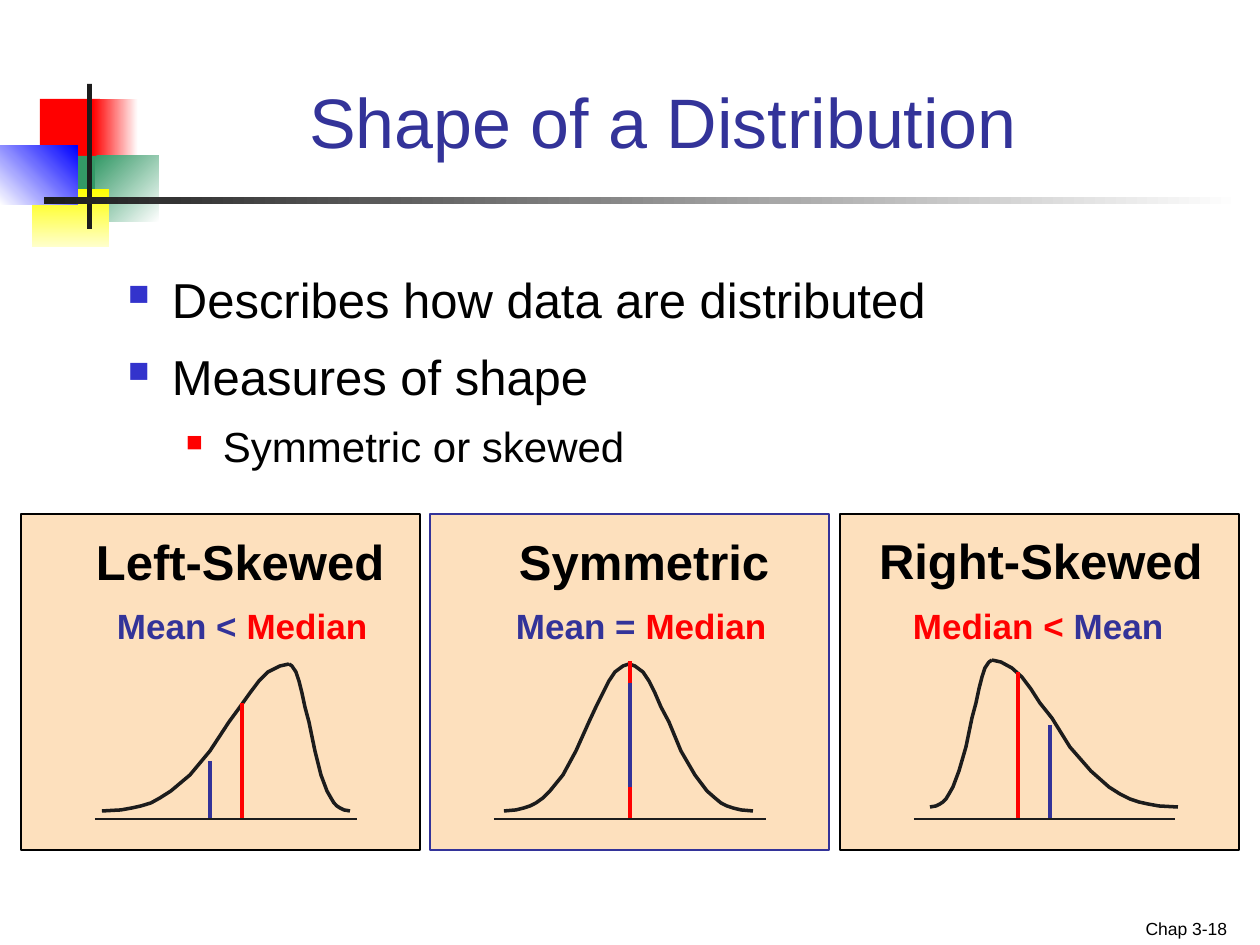
from lxml import etree
from pptx import Presentation
from pptx import util as u
from pptx.dml.color import RGBColor
from pptx.enum import shapes, text
from pptx.oxml.ns import qn

PX = u.Inches(1) / 126
COLORS = {
    "red": "FF0000", "green": "339966", "yellow": "FFFF00", "cream": "FFFFCC",
    "blue": "0000FF", "white": "FFFFFF", "ink": "1C1C1C", "black": "000000",
    "navy": "333399", "bullet": "3333CC", "panel": "FDE0BD",
}
HALF_BELL = [
    (0, 147), (0.1, 146), (0.16, 144), (0.21, 142), (0.26, 139), (0.31, 134),
    (0.37, 127), (0.47, 111), (0.58, 87), (0.68, 58), (0.74, 43), (0.79, 29),
    (0.84, 17), (0.89, 8), (0.95, 2), (1, 0),
]
AXIS_Y = 819
PANELS = [
    dict(left=21, border="black", heading=("Left-Skewed", 84, 525, 314),
         relation=([("Mean <", "navy"), (" Median", "red")], 105),
         feet=(102, 350), peak=(289, 664), axis=(95, 357),
         markers=[("red", 242, 703, AXIS_Y), ("navy", 210, 761, AXIS_Y)]),
    dict(left=430, border="navy", heading=("Symmetric", 507, 525, 275),
         relation=([("Mean =", "navy"), (" Median", "red")], 504),
         feet=(504, 753), peak=(629, 664), axis=(494, 766),
         markers=[("red", 630, 661, AXIS_Y), ("navy", 630, 683, 787)]),
    dict(left=840, border="black", heading=("Right-Skewed", 867, 524, 349),
         relation=([("Median < ", "red"), ("Mean", "navy")], 901),
         feet=(930, 1178), peak=(992, 660), axis=(914, 1175),
         markers=[("red", 1018, 672, AXIS_Y), ("navy", 1050, 725, AXIS_Y)]),
]


def emu(*lengths):
    return [round(length * PX) for length in lengths]


def rgb(name):
    return RGBColor.from_string(COLORS[name])


class SlideWriter:
    font = "Arial"

    def __init__(self, slide):
        self.slide = slide
        self.shapes = slide.shapes

    def rect(self, box, fill, border=None):
        block = self.shapes.add_shape(shapes.MSO_SHAPE.RECTANGLE, *emu(*box))
        block.shadow.inherit = False
        block.fill.solid()
        block.fill.fore_color.rgb = rgb(fill)
        if border:
            block.line.color.rgb = rgb(border)
            block.line.width = u.Pt(0.75)
        else:
            block.line.fill.background()
        return block

    def fade(self, box, start, end, angle):
        block = self.rect(box, start)
        block.fill.gradient()
        block.fill.gradient_angle = angle
        for stop, color in zip(block.fill.gradient_stops, (start, end)):
            stop.color.rgb = rgb(color)

    def line(self, start, end, color, width):
        rule = self.shapes.add_connector(
            shapes.MSO_CONNECTOR.STRAIGHT, *emu(*start, *end))
        rule.line.color.rgb = rgb(color)
        rule.line.width = u.Pt(width)
        etree.SubElement(rule._element.spPr, qn("a:effectLst"))

    def half_bell(self, foot, peak):
        peak_x, peak_y = peak
        points = [(round(foot + (peak_x - foot) * x), peak_y + drop)
                  for x, drop in HALF_BELL]
        builder = self.shapes.build_freeform(*points[0], scale=PX)
        builder.add_line_segments(points[1:], close=False)
        curve = builder.convert_to_shape()
        curve.shadow.inherit = False
        curve.fill.background()
        curve.line.color.rgb = rgb("ink")
        curve.line.width = u.Pt(2)

    def frame(self, box, anchor="TOP", wrap=True):
        frame = self.shapes.add_textbox(*emu(*box)).text_frame
        frame.word_wrap = wrap
        frame.vertical_anchor = text.MSO_ANCHOR[anchor]
        frame.margin_left, frame.margin_right = emu(12, 12)
        return frame

    def style(self, paragraph, size, color=None, bold=False):
        font = paragraph.font
        font.name, font.size, font.bold = self.font, u.Pt(size), bold
        if color:
            font.color.rgb = rgb(color)

    def text(self, box, words, size, color, align="LEFT", anchor="TOP",
             bold=False, wrap=True, spacing=None):
        paragraph = self.frame(box, anchor, wrap).paragraphs[0]
        paragraph.text = words
        paragraph.alignment = text.PP_ALIGN[align]
        paragraph.line_spacing = spacing
        self.style(paragraph, size, color, bold)

    def two_tone(self, box, parts, size):
        paragraph = self.frame(box, wrap=False).paragraphs[0]
        self.style(paragraph, size, bold=True)
        for words, color in parts:
            run = paragraph.add_run()
            run.text = words
            run.font.color.rgb = rgb(color)

    def bullets(self, box, items):
        frame = self.frame(box)
        for i, (words, level, size, before, color, percent, indent, hang) in enumerate(items):
            paragraph = frame.add_paragraph() if i else frame.paragraphs[0]
            paragraph.text = words
            paragraph.level = level
            paragraph.line_spacing = 1.1
            paragraph.space_before = u.Pt(before if i else 0)
            props = paragraph._p.get_or_add_pPr()
            margin, offset = emu(indent, -hang)
            props.set("marL", str(margin))
            props.set("indent", str(offset))
            tint = etree.SubElement(props, qn("a:buClr"))
            etree.SubElement(tint, qn("a:srgbClr"), val=COLORS[color])
            etree.SubElement(props, qn("a:buSzPct"), val=str(percent * 1000))
            etree.SubElement(props, qn("a:buChar"), char="■")
            self.style(paragraph, size, "black")


def draw_ornament(writer):
    writer.rect((40, 99, 60, 65), "red")
    writer.fade((93, 99, 45, 65), "red", "white", 0)
    writer.fade((95, 156, 64, 66), "green", "white", 315)
    writer.rect((54, 156, 41, 66), "green")
    writer.fade((32, 189, 77, 58), "yellow", "cream", 270)
    writer.fade((0, 146, 78, 59), "white", "blue", 45)
    writer.rect((87, 84, 5, 145), "ink")
    writer.fade((44, 197, 1198, 7), "ink", "white", 0)


def draw_panel(writer, panel):
    writer.rect((panel["left"], 514, 399, 336), "panel", panel["border"])
    for foot in panel["feet"]:
        writer.half_bell(foot, panel["peak"])
    for color, x, top, bottom in panel["markers"]:
        writer.line((x, top), (x, bottom), color, 2)
    start, end = panel["axis"]
    writer.line((start, AXIS_Y), (end, AXIS_Y), "ink", 1)
    heading, x, y, width = panel["heading"]
    writer.text((x, y, width, 71), heading, 28, "black", bold=True, wrap=False)
    parts, x = panel["relation"]
    writer.two_tone((x, 598, 276, 54), parts, 20)


def main():
    deck = Presentation()
    deck.slide_width, deck.slide_height = u.Inches(10), u.Inches(7.5)
    writer = SlideWriter(deck.slides.add_slide(deck.slide_layouts[6]))
    draw_ornament(writer)
    writer.text((126, 32, 1074, 136), "Shape of a Distribution", 40, "navy",
                align="CENTER", anchor="BOTTOM", spacing=0.8)
    main_point = (0, 28, 7, "bullet", 60, 44, 44)
    sub_point = (1, 24, 6, "red", 55, 95, 37)
    writer.bullets((116, 257, 1113, 625), [
        ("Describes how data are distributed", *main_point),
        ("Measures of shape", *main_point),
        ("Symmetric or skewed", *sub_point),
    ])
    for panel in PANELS:
        draw_panel(writer, panel)
    writer.text((945, 901, 294, 44), "Chap 3-18", 10, "black",
                align="RIGHT", anchor="BOTTOM")
    deck.save("out.pptx")


if __name__ == "__main__":
    main()
